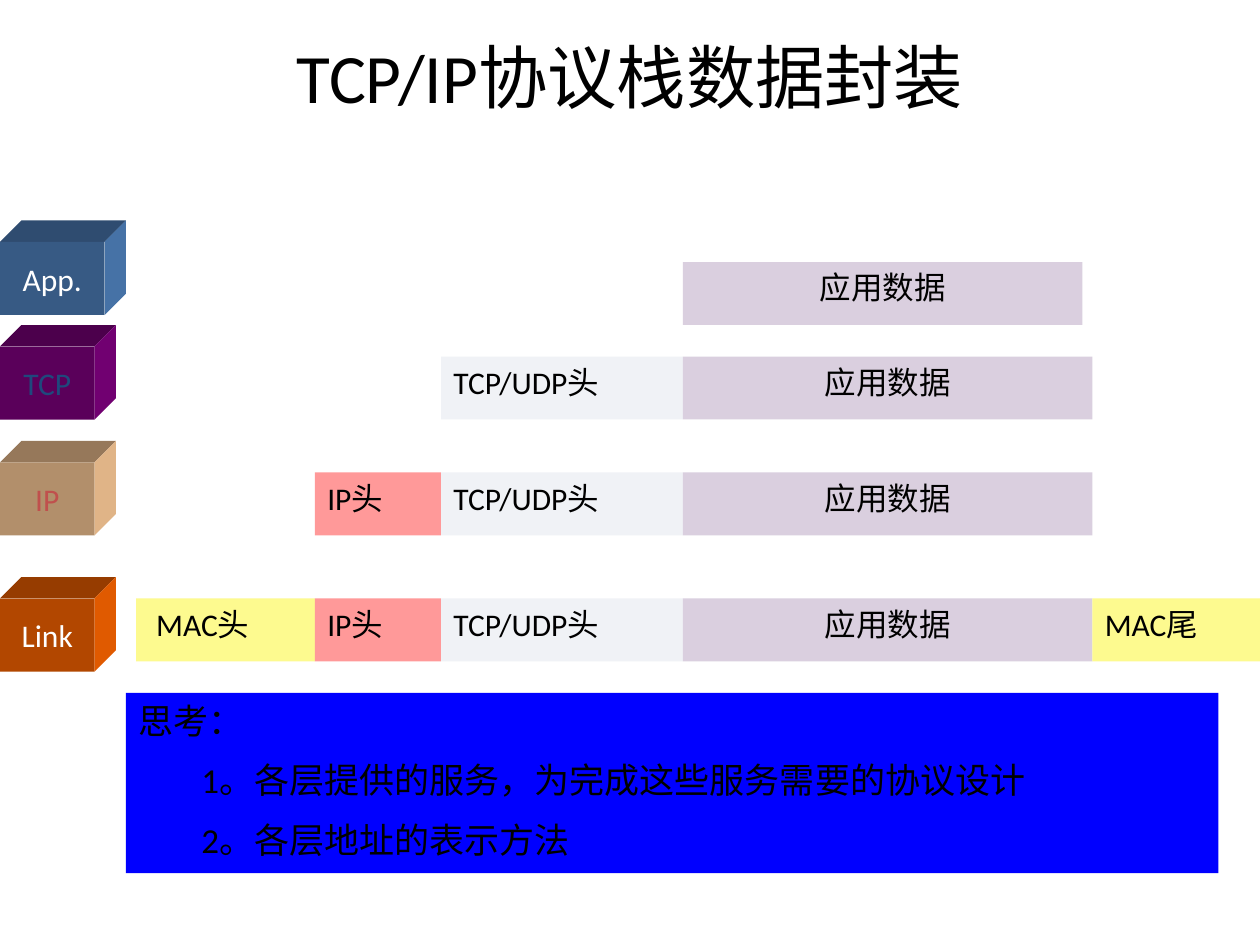
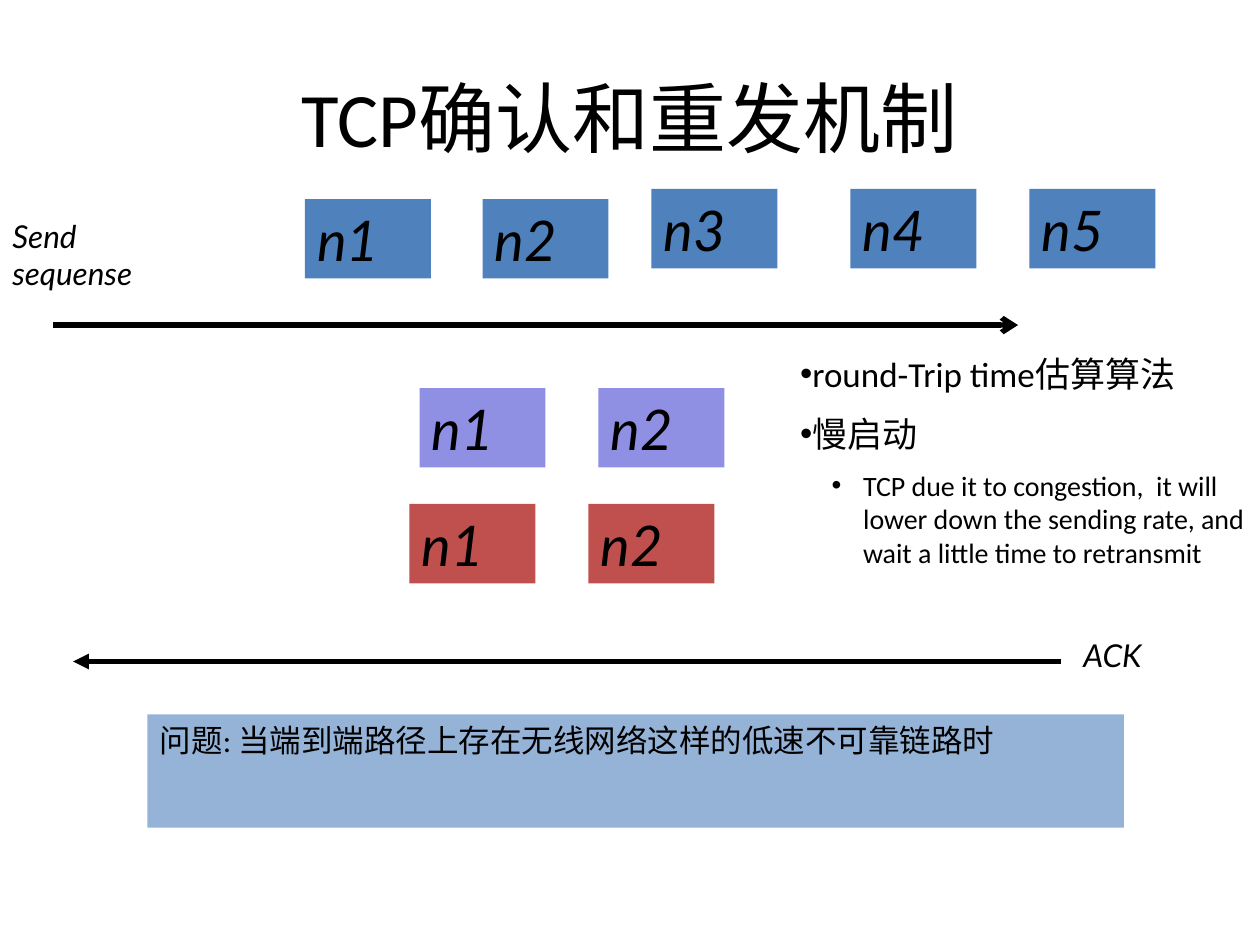
from lxml import etree
from pptx import Presentation
from pptx.dml.color import RGBColor
from pptx.enum import shapes, text
from pptx.oxml import ns
from pptx.util import Inches, Pt

BLACK, WHITE = "000000", "FFFFFF"
BLUE, RED, VIOLET = "4F81BD", "C0504D", "8F8FE3"
MAIN_FONT, LABEL_FONT = "Calibri", "Lato"
TITLE_BOX = (0.5, 0.3, 9, 1.25)
LEFT, CENTER = text.PP_ALIGN.LEFT, text.PP_ALIGN.CENTER
TOP, MIDDLE = text.MSO_ANCHOR.TOP, text.MSO_ANCHOR.MIDDLE

# Segments of a packet: text, left edge, width, fill, alignment, left inset
SEGMENTS = {
    "mac": ("MAC头", 1.08, 1.42, "FDFA8F", LEFT, 0.16),
    "ip": ("IP头", 2.5, 1, "FF9999", LEFT, 0.1),
    "tcp": ("TCP/UDP头", 3.5, 1.92, "F0F2F6", LEFT, 0.1),
    "data": ("应用数据", 5.42, 3.25, "DACFDF", CENTER, 0.1),
    "short data": ("应用数据", 5.42, 3.17, "DACFDF", CENTER, 0.1),
    "tail": ("MAC尾", 8.67, 1.33, "FDFA8F", LEFT, 0.1),
}
# Layers: name, cube top, cube width, colour, text colour, packet top, segments
LAYERS = [
    ("App.", 1.92, 0.83, BLUE, WHITE, 2.08, ["short data"]),
    ("TCP", 2.75, 0.75, "800080", "1F497D", 2.83, ["tcp", "data"]),
    ("IP", 3.67, 0.75, "FFCC99", RED, 3.75, ["ip", "tcp", "data"]),
    ("Link", 4.75, 0.75, "FF6600", WHITE, 4.75,
     ["mac", "ip", "tcp", "data", "tail"]),
]


def rgb(code):
    return RGBColor.from_string(code)


def shade(code, factor):
    """Darken a hex colour by a factor."""
    return "".join(f"{round(int(code[i:i + 2], 16) * factor):02X}" for i in (0, 2, 4))


def inches(box):
    return [Inches(length) for length in box]


def style(paragraph, size, font=MAIN_FONT, color=BLACK, italic=False, align=LEFT):
    paragraph.alignment = align
    paragraph.font.size = Pt(size)
    paragraph.font.name = font
    paragraph.font.italic = italic
    paragraph.font.color.rgb = rgb(color)


def paint(shape, fill):
    shape.shadow.inherit = False
    shape.fill.solid()
    shape.fill.fore_color.rgb = rgb(fill)
    shape.line.fill.background()


def write(shape, lines, size, anchor=TOP, wrap=True, **look):
    """Fill a shape with lines, half a line apart."""
    frame = shape.text_frame
    frame.word_wrap = wrap
    frame.vertical_anchor = anchor
    frame.text = "\n".join(lines)
    for number, paragraph in enumerate(frame.paragraphs):
        style(paragraph, size, **look)
        if number:
            paragraph.space_before = Pt(size / 2)
    return frame


def block(slide, box, fill, lines, size, **look):
    rect = slide.shapes.add_shape(shapes.MSO_SHAPE.RECTANGLE, *inches(box))
    paint(rect, fill)
    return write(rect, lines, size, **look)


def label(slide, box, caption):
    caption_box = slide.shapes.add_textbox(*inches(box))
    write(caption_box, [caption], 18, font=LABEL_FONT, italic=True)


def add_title(slide, caption, size):
    title = slide.shapes.title
    title.left, title.top, title.width, title.height = inches(TITLE_BOX)
    return write(title, [caption], size, anchor=MIDDLE, align=CENTER)


def indent(paragraph, margin, first=0.0, bullet=None):
    properties = paragraph._p.get_or_add_pPr()
    properties.set("marL", str(Inches(margin)))
    properties.set("indent", str(Inches(first)))
    if bullet:
        etree.SubElement(properties, ns.qn("a:buChar")).set("char", bullet)


def face(slide, corners, fill):
    outline = slide.shapes.build_freeform(*inches(corners[0]), scale=1.0)
    outline.add_line_segments([inches(corner) for corner in corners[1:]])
    paint(outline.convert_to_shape(), fill)


def layer_cube(slide, box, name, color, text_color):
    """A block with a top and a right side, receding up and right."""
    left, top, width, height = box
    depth = 0.17
    right, bottom = left + width, top + height
    back_top, back_right = top - depth, right + depth
    face(slide, [(left, top), (left + depth, back_top),
                 (back_right, back_top), (right, top)], shade(color, 0.59))
    face(slide, [(right, top), (back_right, back_top),
                 (back_right, bottom - depth), (right, bottom)], shade(color, 0.88))
    block(slide, box, shade(color, 0.7), [name], 18, anchor=MIDDLE, wrap=False,
          color=text_color, align=CENTER)


def packet(slide, top, segments):
    for key in segments:
        caption, left, width, fill, align, inset = SEGMENTS[key]
        frame = block(slide, (left, top, width, 0.5), fill, [caption], 18, align=align)
        frame.margin_left = Inches(inset)


def frames_row(slide, places, fill):
    """Numbered frames n1, n2, ... at the given left and top edges."""
    for number, (left, top) in enumerate(places, 1):
        block(slide, (left, top, 1, 0.63), fill, [f"n{number}"], 32,
              font=LABEL_FONT, italic=True)


def arrow(slide, start, end, y, head):
    line = slide.shapes.add_connector(
        shapes.MSO_CONNECTOR.STRAIGHT, *inches((start, y, end, y)))
    line.line.color.rgb = rgb(BLACK)
    line.line.width = Pt(3)
    etree.SubElement(line.line._get_or_add_ln(), ns.qn("a:tailEnd")).set("type", head)
    etree.SubElement(line._element.spPr, ns.qn("a:effectLst"))


def topic_list(slide, box):
    topics = slide.placeholders[1]
    topics.left, topics.top, topics.width, topics.height = inches(box)
    frame = topics.text_frame
    frame.word_wrap = True
    frame.auto_size = text.MSO_AUTO_SIZE.NONE
    items = [
        ("round-Trip time估算算法", 0, 20),
        ("慢启动", 0, 20),
        ("TCP due it to congestion,  it will lower down the sending rate, "
         "and wait a little time to retransmit", 1, 16),
    ]
    for number, (item, level, size) in enumerate(items):
        paragraph = frame.add_paragraph() if number else frame.paragraphs[0]
        paragraph.text = item
        paragraph.level = level
        paragraph.space_before = Pt(size / 2 if number else 0)
        indent(paragraph, 0.5 * level, -0.25 * level, "•")
        style(paragraph, size)


def encapsulation_slide(deck):
    slide = deck.slides.add_slide(deck.slide_layouts[5])
    title = add_title(slide, "TCP/IP协议栈数据封装", 39.6)
    title.margin_bottom = Inches(0.7)  # keeps the title in the upper half

    # Protocol layers with their packets
    for name, cube_top, width, color, text_color, packet_top, segments in LAYERS:
        packet(slide, packet_top, segments)
        layer_cube(slide, (0, cube_top, width, 0.58), name, color, text_color)

    # Questions to think about
    questions = block(slide, (1, 5.5, 8.67, 1.43), "0000FF", [
        "思考：",
        "1。各层提供的服务，为完成这些服务需要的协议设计",
        "2。各层地址的表示方法",
    ], 20)
    for question in questions.paragraphs[1:]:
        indent(question, 0.5)


def retransmission_slide(deck):
    slide = deck.slides.add_slide(deck.slide_layouts[1])
    add_title(slide, "TCP确认和重发机制", 44)

    # Sent frames
    frames_row(slide, [(2.42, 1.58), (3.83, 1.58), (5.17, 1.5),
                       (6.75, 1.5), (8.17, 1.5)], BLUE)
    label(slide, (0, 1.67, 1.67, 0.9), "Send sequense")
    arrow(slide, 0.42, 8.08, 2.58, "arrow")

    # Received and acknowledged frames
    frames_row(slide, [(3.33, 3.08), (4.75, 3.08)], VIOLET)
    frames_row(slide, [(3.25, 4), (4.67, 4)], RED)
    arrow(slide, 8.42, 0.58, 5.25, "triangle")
    label(slide, (8.5, 5, 1.5, 0.5), "ACK")

    # Topics and open question
    topic_list(slide, (6.25, 2.75, 3.75, 1.87))
    block(slide, (1.17, 5.67, 7.75, 0.9), "95B3D7",
          ["问题: 当端到端路径上存在无线网络这样的低速不可靠链路时"], 18)


def main():
    deck = Presentation()
    deck.slide_width, deck.slide_height = Inches(10), Inches(7.5)
    encapsulation_slide(deck)
    retransmission_slide(deck)
    deck.save("out.pptx")


if __name__ == "__main__":
    main()
